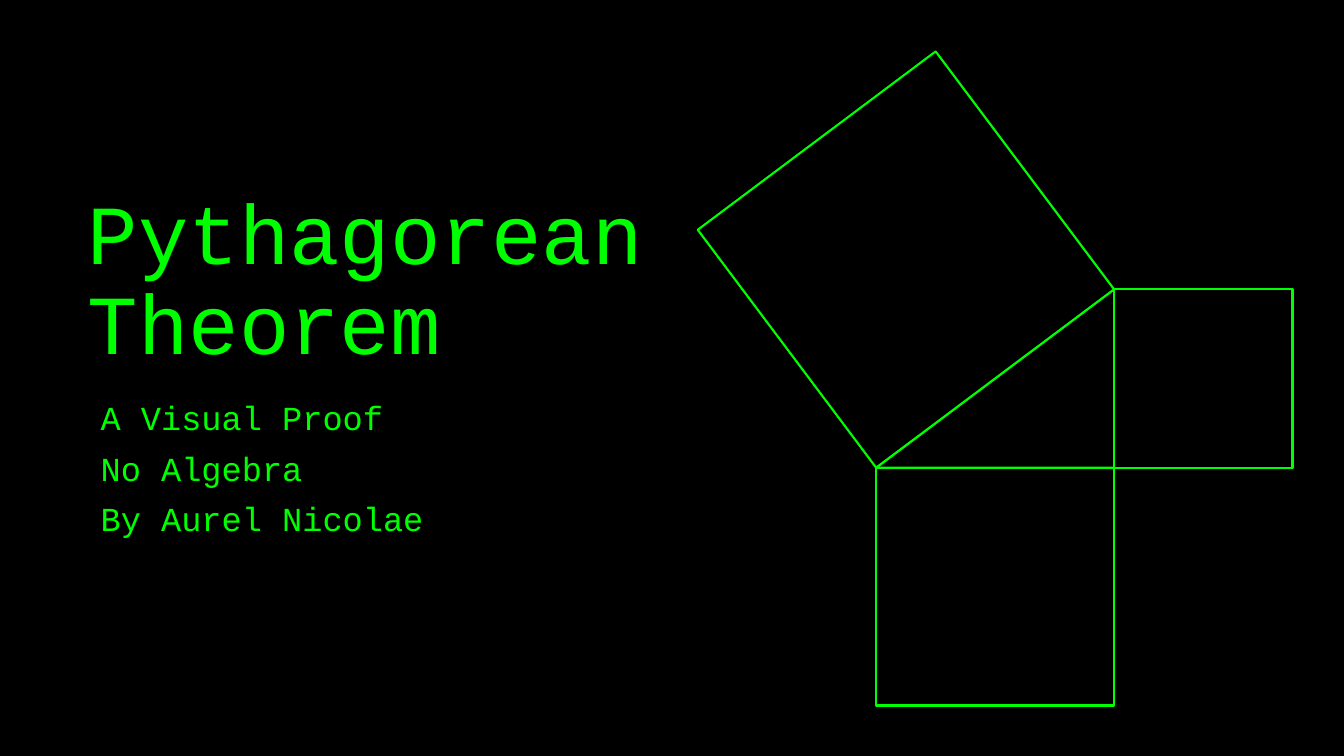
from dataclasses import dataclass
from math import atan2, degrees, hypot

from pptx import Presentation
from pptx.dml.color import RGBColor
from pptx.enum.shapes import MSO_SHAPE
from pptx.enum.text import MSO_ANCHOR
from pptx.slide import Slide
from pptx.util import Inches, Pt

SLIDE_W, SLIDE_H = 13.33, 7.5
UNIT = 0.59  # one grid cell of the figure
CORNER_X, CORNER_Y = 11.05, 4.64  # right angle of the triangle
LEG_A, LEG_B = 3, 4  # in grid cells
HYPOTENUSE = hypot(LEG_A, LEG_B)


@dataclass(frozen=True)
class Theme:
    background: RGBColor = RGBColor(0, 0, 0)
    ink: RGBColor = RGBColor(0, 255, 0)
    font: str = "Courier New"
    title_size: int = 60
    subtitle_size: int = 24
    line_width: float = 1.5


@dataclass(frozen=True)
class TextBlock:
    """A text box placed by shares of the slide's size."""
    left: float
    top: float
    width: float
    height: float
    lines: tuple[str, ...]
    size: int
    anchor: MSO_ANCHOR
    space_before: int = 0


@dataclass(frozen=True)
class Figure:
    """A shape centred by columns and rows counted from the right angle."""
    kind: MSO_SHAPE
    col: float
    row: float
    cols: float
    rows: float
    rotation: float = 0


THEME = Theme()

TEXTS = (
    TextBlock(0.058, 0.164, 0.458, 0.336, ("Pythagorean Theorem",),
              THEME.title_size, MSO_ANCHOR.BOTTOM),
    TextBlock(0.0675, 0.525, 0.417, 0.241,
              ("A Visual Proof", "No Algebra", "By Aurel Nicolae"),
              THEME.subtitle_size, MSO_ANCHOR.TOP, space_before=10),
)

# The hypotenuse square lies half a hypotenuse outward from its midpoint
HYP_OFFSET = -(LEG_A + LEG_B) / 2
FIGURES = (
    Figure(MSO_SHAPE.RIGHT_TRIANGLE, -LEG_B / 2, -LEG_A / 2, LEG_A, LEG_B, 270),
    Figure(MSO_SHAPE.RECTANGLE, LEG_A / 2, -LEG_A / 2, LEG_A, LEG_A),
    Figure(MSO_SHAPE.RECTANGLE, -LEG_B / 2, LEG_B / 2, LEG_B, LEG_B),
    Figure(MSO_SHAPE.RECTANGLE, HYP_OFFSET, HYP_OFFSET, HYPOTENUSE, HYPOTENUSE,
           360 - degrees(atan2(LEG_A, LEG_B))),
)


def add_text(s: Slide, block: TextBlock) -> None:
    box = s.shapes.add_textbox(
        Inches(block.left * SLIDE_W), Inches(block.top * SLIDE_H),
        Inches(block.width * SLIDE_W), Inches(block.height * SLIDE_H))
    tf = box.text_frame
    tf.word_wrap = True
    tf.vertical_anchor = block.anchor
    for i, line in enumerate(block.lines):
        p = tf.add_paragraph() if i else tf.paragraphs[0]
        p.line_spacing = 0.9
        p.space_before = Pt(block.space_before)
        r = p.add_run()
        r.text = line
        r.font.name = THEME.font
        r.font.size = Pt(block.size)
        r.font.color.rgb = THEME.ink


def add_figure(s: Slide, fig: Figure) -> None:
    sp = s.shapes.add_shape(
        fig.kind,
        Inches(CORNER_X + (fig.col - fig.cols / 2) * UNIT),
        Inches(CORNER_Y + (fig.row - fig.rows / 2) * UNIT),
        Inches(fig.cols * UNIT), Inches(fig.rows * UNIT))
    sp.rotation = fig.rotation
    sp.shadow.inherit = False
    sp.fill.solid()
    sp.fill.fore_color.rgb = THEME.background
    sp.line.color.rgb = THEME.ink
    sp.line.width = Pt(THEME.line_width)


def main() -> None:
    prs = Presentation()
    prs.slide_width, prs.slide_height = Inches(SLIDE_W), Inches(SLIDE_H)
    s = prs.slides.add_slide(prs.slide_layouts[6])

    # Background
    s.background.fill.solid()
    s.background.fill.fore_color.rgb = THEME.background

    # Title and subtitle
    for block in TEXTS:
        add_text(s, block)

    # Triangle and the squares on its sides
    for fig in FIGURES:
        add_figure(s, fig)

    prs.save("out.pptx")


if __name__ == "__main__":
    main()
